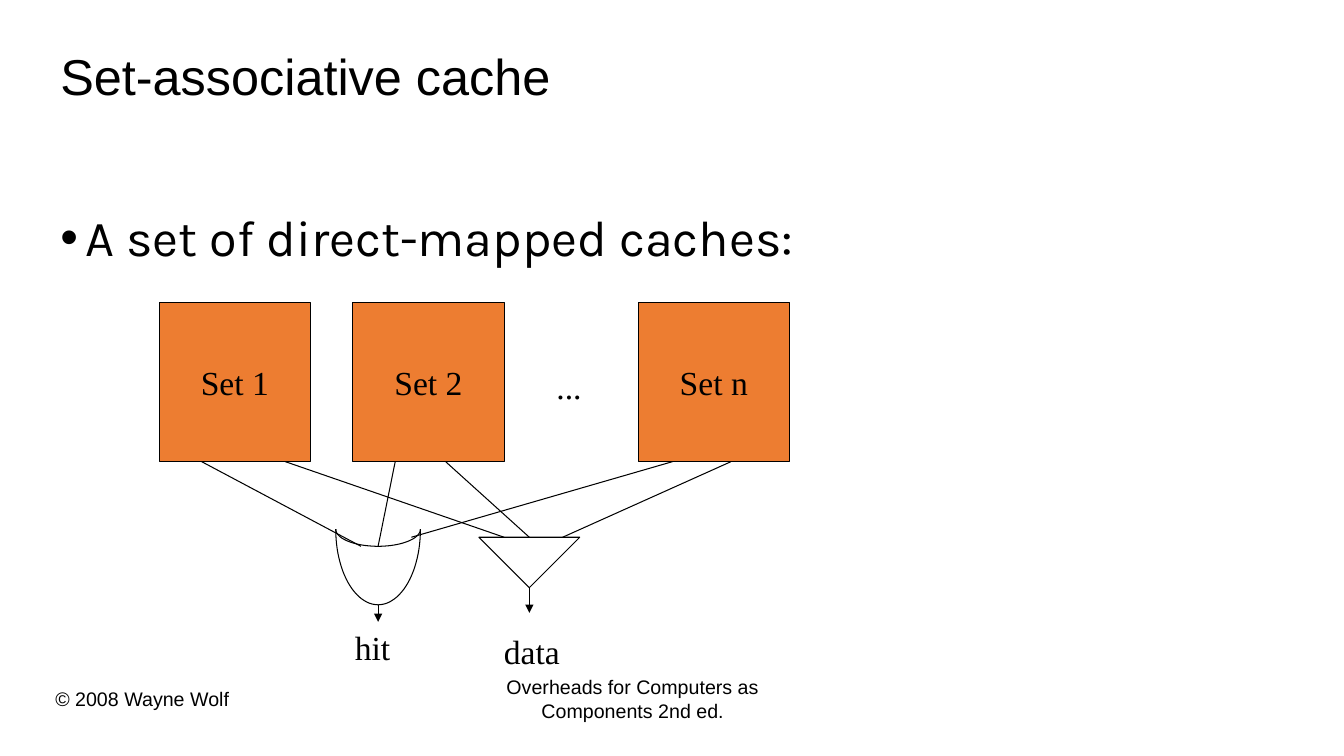
import math
from lxml import etree
from pptx import Presentation
from pptx import util as u
from pptx.dml.color import RGBColor
from pptx.enum import shapes, text
from pptx.oxml.ns import qn

COLORS = {"ink": "000000", "set": "ED7D31", "paper": "FFFFFF"}


class Diagram:
    serif = "Times New Roman"
    sans = "Arial"
    body = "Karla"

    def __init__(self, page):
        self.page = page

    def color(self, name):
        return RGBColor.from_string(COLORS[name])

    def outline(self, shape):
        shape.line.color.rgb = self.color("ink")
        shape.line.width = u.Pt(0.75)

    def set_words(self, shape, words, size, font, align):
        frame = shape.text_frame
        frame.text = words
        for para in frame.paragraphs:
            para.alignment = align
            for span in para.runs:
                span.font.size = u.Pt(size)
                span.font.name = font
                span.font.color.rgb = self.color("ink")
        return frame

    def label(self, words, area, size=24, font=serif, align=text.PP_ALIGN.LEFT, wrap=False):
        box = self.page.shapes.add_textbox(*map(u.Inches, area))
        frame = self.set_words(box, words, size, font, align)
        frame.word_wrap = wrap
        if not wrap:
            frame.auto_size = text.MSO_AUTO_SIZE.SHAPE_TO_FIT_TEXT
        return frame

    def title(self, words, area):
        frame = self.label(words, area, 36, self.sans, wrap=True)
        frame.vertical_anchor = text.MSO_ANCHOR.MIDDLE
        frame.paragraphs[0].line_spacing = 0.9

    def bullet(self, words, area):
        frame = self.label(words, area, 36, self.body, wrap=True)
        para = frame.paragraphs[0]
        para.line_spacing = 0.9
        props = para._p.get_or_add_pPr()
        props.set("marL", str(u.Inches(0.25)))
        props.set("indent", str(u.Inches(-0.25)))
        etree.SubElement(props, qn("a:buFont"), typeface=self.sans)
        etree.SubElement(props, qn("a:buChar"), char="•")

    def shape(self, kind, area, fill):
        shape = self.page.shapes.add_shape(kind, *map(u.Inches, area))
        shape.shadow.inherit = False
        shape.fill.solid()
        shape.fill.fore_color.rgb = self.color(fill)
        self.outline(shape)
        return shape

    def cache_set(self, words, left):
        square = self.shape(shapes.MSO_SHAPE.RECTANGLE, (left, 3, 1.5, 1.58), "set")
        frame = self.set_words(square, words, 24, self.serif, text.PP_ALIGN.CENTER)
        frame.vertical_anchor = text.MSO_ANCHOR.MIDDLE
        frame.word_wrap = False

    def quarter_curve(self, center, radius_x, radius_y, steps=24):
        angles = [math.pi / 2 * step / steps for step in range(steps + 1)]
        points = [(u.Inches(center[0] + radius_x * math.cos(angle)),
                   u.Inches(center[1] + radius_y * math.sin(angle))) for angle in angles]
        builder = self.page.shapes.build_freeform(*points[0])
        builder.add_line_segments(points[1:], close=False)
        curve = builder.convert_to_shape()
        curve.shadow.inherit = False
        curve.fill.background()
        self.outline(curve)

    def wire(self, start, end, arrow=False):
        line = self.page.shapes.add_connector(
            shapes.MSO_CONNECTOR.STRAIGHT, *map(u.Inches, (*start, *end)))
        self.outline(line)
        props = line._element.spPr
        if arrow:
            etree.SubElement(props.find(qn("a:ln")), qn("a:tailEnd"), type="triangle")
        etree.SubElement(props, qn("a:effectLst"))


def main():
    deck = Presentation()
    deck.slide_width, deck.slide_height = u.Inches(13.33), u.Inches(7.5)
    diagram = Diagram(deck.slides.add_slide(deck.slide_layouts[6]))

    diagram.label("Overheads for Computers as\nComponents 2nd ed.", (4.89, 6.65, 2.77, 0.57),
                  14, diagram.sans, text.PP_ALIGN.CENTER)
    diagram.label("© 2008 Wayne Wolf", (0.45, 6.77, 1.94, 0.34), 14, diagram.sans)
    diagram.title("Set-associative cache", (0.5, 0.25, 8.92, 1.08))
    diagram.bullet("A set of direct-mapped caches:", (0.5, 2.06, 8.94, 0.69))

    for words, left in (("Set 1", 1.58), ("Set 2", 3.5), ("Set n", 6.33)):
        diagram.cache_set(words, left)
    diagram.label("...", (5.42, 3.58, 0.45, 0.5))

    selector = diagram.shape(shapes.MSO_SHAPE.ISOSCELES_TRIANGLE, (4.75, 5.33, 1, 0.5), "paper")
    selector.rotation = 180
    for depth in (0.75, 0.17):
        for half_width in (0.42, -0.42):
            diagram.quarter_curve((3.75, 5.25), half_width, depth)

    set_bottom = 4.58
    hit_wires = ((2, 3.58, 5.42), (3.92, 3.75, 5.42), (6.67, 4.08, 5.33))
    data_wires = ((2.83, 5, 5.33), (4.42, 5.25, 5.33), (7.25, 5.58, 5.33))
    for start_x, end_x, end_y in hit_wires + data_wires:
        diagram.wire((start_x, set_bottom), (end_x, end_y))

    diagram.wire((3.75, 6), (3.75, 6.17), arrow=True)
    diagram.label("hit", (3.42, 6.17, 0.55, 0.5))
    diagram.wire((5.25, 5.83), (5.25, 6.08), arrow=True)
    diagram.label("data", (4.9, 6.21, 0.76, 0.5))

    deck.save("out.pptx")


if __name__ == "__main__":
    main()
